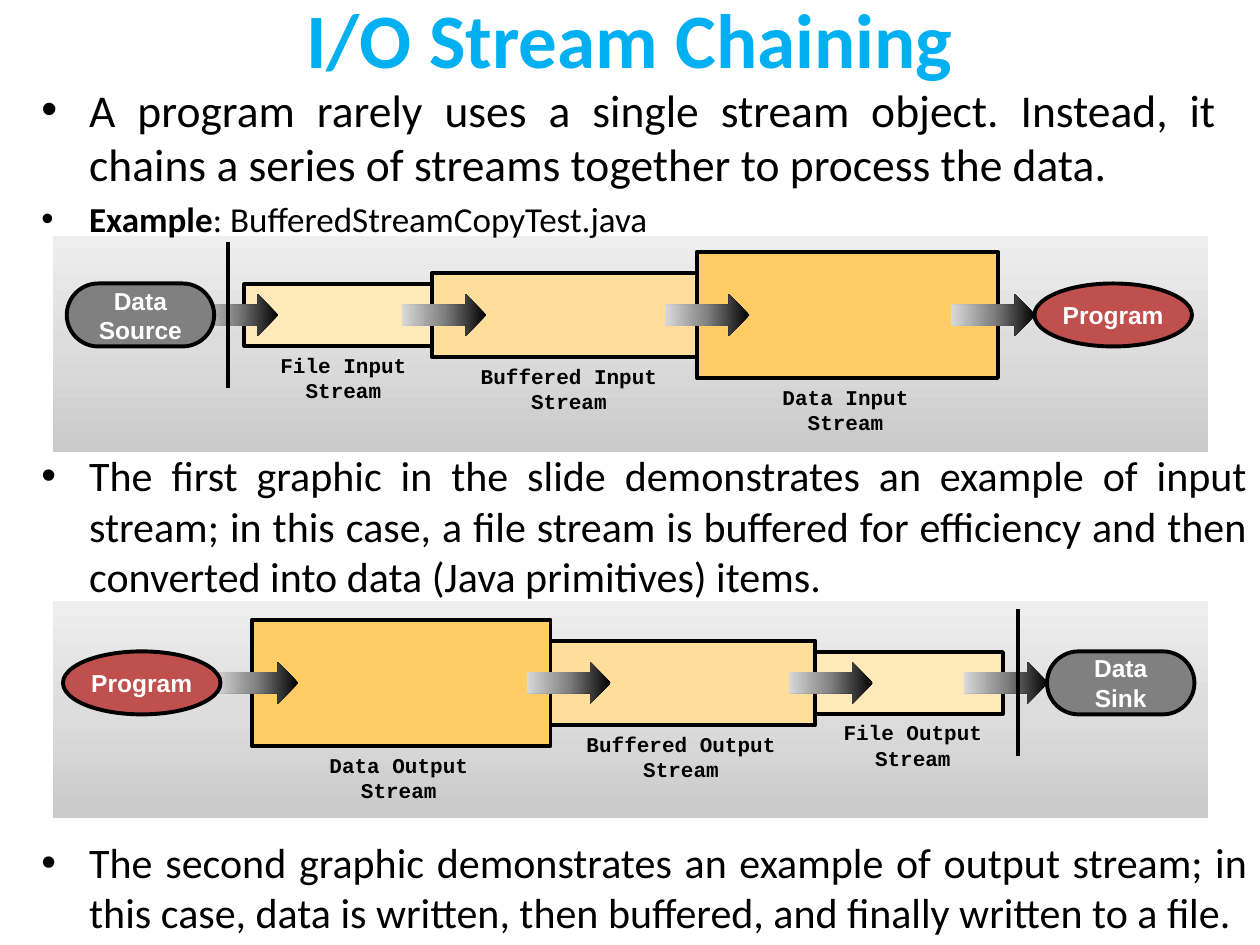
from dataclasses import dataclass

import pptx
import pptx.dml.color
import pptx.enum.shapes
import pptx.enum.text
import pptx.oxml.ns
import pptx.util
from lxml import etree

Inches, Pt = pptx.util.Inches, pptx.util.Pt
SHAPE = pptx.enum.shapes.MSO_SHAPE
ALIGN = pptx.enum.text.PP_ALIGN
ANCHOR = pptx.enum.text.MSO_ANCHOR
qn = pptx.oxml.ns.qn

COLORS = {
    "title": "00B0F0", "black": "000000", "white": "FFFFFF",
    "file": "FFE8B9", "buffered": "FFDE9B", "data": "FFCC66",
    "device": "808080", "program": "C0504D",
}
PANEL_STOPS = ("CACACA", "DDDDDD", "EEEEEE")
ARROW_STOPS = ("000000", "808080", "D9D9D9")
STAGE_HEIGHTS = {"file": 0.49, "buffered": 0.67, "data": 1.0}


@dataclass
class Stage:
    kind: str
    left: float
    width: float
    label: str
    label_left: float
    label_width: float


@dataclass
class Endpoint:
    kind: str
    left: float
    text: str


@dataclass
class Chain:
    panel_top: float
    middle: float
    stages: list[Stage]
    arrows: list[float]
    endpoints: list[Endpoint]
    divider: tuple[float, float, float]
    label_inset: float


@dataclass
class Bullets:
    top: float
    width: float
    height: float
    paragraphs: list[tuple[int, list[tuple[str, bool]]]]


CHAINS = [
    Chain(1.87, 2.5,
          [Stage("file", 1.94, 1.67, "File Input Stream", 1.92, 1.61),
           Stage("buffered", 3.43, 2.51, "Buffered Input Stream", 3.52, 1.99),
           Stage("data", 5.53, 2.39, "Data Input Stream", 5.92, 1.58)],
          [1.54, 3.19, 5.28, 7.55],
          [Endpoint("device", 0.53, "Data Source"), Endpoint("program", 8.21, "Program")],
          (1.81, 1.92, 3.08), 0),
    Chain(4.77, 5.42,
          [Stage("file", 6.29, 1.67, "File Output Stream", 6.33, 1.83),
           Stage("buffered", 3.96, 2.51, "Buffered Output Stream", 4.24, 2.33),
           Stage("data", 2.0, 2.37, "Data Output Stream", 2.25, 1.83)],
          [1.7, 4.18, 6.26, 7.65],
          [Endpoint("program", 0.5, "Program"), Endpoint("device", 8.31, "Data Sink")],
          (8.08, 4.83, 6.0), 0.1),
]
BULLETS = [
    Bullets(0.6, 9.53, 1.38, [
        (26, [("A program rarely uses a single stream object. Instead, it chains a "
               "series of streams together to process the data.", False)]),
        (20, [("Example", True), (": BufferedStreamCopyTest.java", False)])]),
    Bullets(3.52, 9.77, 1.31, [
        (24, [("The first graphic in the slide demonstrates an example of input stream; "
               "in this case, a file stream is buffered for efficiency and then converted "
               "into data (Java primitives) items.", False)])]),
    Bullets(6.59, 9.77, 0.91, [
        (24, [("The second graphic demonstrates an example of output stream; in this case, "
               "data is written, then buffered, and finally written to a file.", False)])]),
]


def rgb(name: str):
    return pptx.dml.color.RGBColor.from_string(COLORS[name])


def format_run(r, font: str, size: float, color: str, bold: bool) -> None:
    r.font.name, r.font.size, r.font.bold = font, Pt(size), bold
    r.font.color.rgb = rgb(color)


def set_label(sp, text: str, font: str, size: float, color: str, inset: float) -> None:
    tf = sp.text_frame
    tf.word_wrap = True
    tf.margin_left = tf.margin_right = Inches(inset)
    tf.text = text
    p = tf.paragraphs[0]
    p.alignment, p.space_before = ALIGN.CENTER, Pt(size * 0.2)
    format_run(p.runs[0], font, size, color, True)


def add_box(shape_type, left: float, top: float, width: float, height: float):
    sp = slide.shapes.add_shape(shape_type, Inches(left), Inches(top),
                                Inches(width), Inches(height))
    sp.shadow.inherit = False
    sp.line.fill.background()
    return sp


def fill_solid(sp, color: str) -> None:
    sp.fill.solid()
    sp.fill.fore_color.rgb = rgb(color)
    sp.line.color.rgb = rgb("black")
    sp.line.width = Pt(2.25)


def fill_gradient(sp, stops: tuple[str, ...], angle: int) -> None:
    sp.fill.gradient()
    sp.fill.gradient_angle = angle
    stop_list = sp._element.spPr.find(qn("a:gradFill")).find(qn("a:gsLst"))
    for gs in list(stop_list):
        stop_list.remove(gs)
    for i, color in enumerate(stops):
        gs = etree.SubElement(stop_list, qn("a:gs"), pos=str(i * 50000))
        etree.SubElement(gs, qn("a:srgbClr"), val=color)


def add_textbox(left: float, top: float, width: float, height: float):
    return slide.shapes.add_textbox(Inches(left), Inches(top), Inches(width), Inches(height))


def draw_chain(chain: Chain) -> None:
    panel = add_box(SHAPE.RECTANGLE, 0.42, chain.panel_top, 9.17, 1.72)
    fill_gradient(panel, PANEL_STOPS, 90)
    # Stream stages with their labels underneath
    for s in chain.stages:
        height = STAGE_HEIGHTS[s.kind]
        sp = add_box(SHAPE.RECTANGLE, s.left, chain.middle - height / 2, s.width, height)
        fill_solid(sp, s.kind)
        label = add_textbox(s.label_left, chain.middle + height / 2, s.label_width, 0.51)
        set_label(label, s.label, "Courier New", 12, "black", chain.label_inset)
    # Flow arrows
    for left in chain.arrows:
        sp = add_box(SHAPE.RIGHT_ARROW, left, chain.middle - 0.165, 0.67, 0.33)
        fill_gradient(sp, ARROW_STOPS, 180)
    # Program and data device
    for e in chain.endpoints:
        is_device = e.kind == "device"
        sp = add_box(SHAPE.ROUNDED_RECTANGLE if is_device else SHAPE.OVAL,
                     e.left, chain.middle - 0.25, 1.17 if is_device else 1.25, 0.5)
        if is_device:
            sp.adjustments[0] = 0.5
        fill_solid(sp, e.kind)
        set_label(sp, e.text, "Arial", 14, "white", 0.1 if is_device else 0)
        sp.text_frame.vertical_anchor = ANCHOR.MIDDLE
    # Divider
    x, top, bottom = chain.divider
    line = slide.shapes.add_connector(pptx.enum.shapes.MSO_CONNECTOR.STRAIGHT,
                                      Inches(x), Inches(top), Inches(x), Inches(bottom))
    line.line.color.rgb = rgb("black")
    line.line.width = Pt(2.25)
    etree.SubElement(line._element.spPr, qn("a:effectLst"))


def draw_bullets(b: Bullets) -> None:
    tf = add_textbox(0.23, b.top, b.width, b.height).text_frame
    tf.word_wrap = True
    for i, (size, runs) in enumerate(b.paragraphs):
        p = tf.add_paragraph() if i else tf.paragraphs[0]
        p.alignment, p.space_before = ALIGN.JUSTIFY, Pt(size * 0.2)
        pPr = p._p.get_or_add_pPr()
        pPr.set("marL", str(Inches(0.38)))
        pPr.set("indent", str(-Inches(0.38)))
        etree.SubElement(pPr, qn("a:buFont"), typeface="Arial")
        etree.SubElement(pPr, qn("a:buChar"), char="•")
        for text, bold in runs:
            r = p.add_run()
            r.text = text
            format_run(r, "Calibri", size, "black", bold)


prs = pptx.Presentation()
prs.slide_width, prs.slide_height = Inches(10), Inches(7.5)
slide = prs.slides.add_slide(prs.slide_layouts[5])

# Title
title = slide.shapes.title
title.left, title.top, title.width, title.height = Inches(0.5), Inches(0), Inches(9), Inches(0.6)
title.text_frame.text = "I/O Stream Chaining"
title.text_frame.vertical_anchor = ANCHOR.MIDDLE
title.text_frame.paragraphs[0].alignment = ALIGN.CENTER
format_run(title.text_frame.paragraphs[0].runs[0], "Calibri", 44, "title", True)

# Diagrams and text
for chain in CHAINS:
    draw_chain(chain)
for bullets in BULLETS:
    draw_bullets(bullets)

prs.save("out.pptx")
